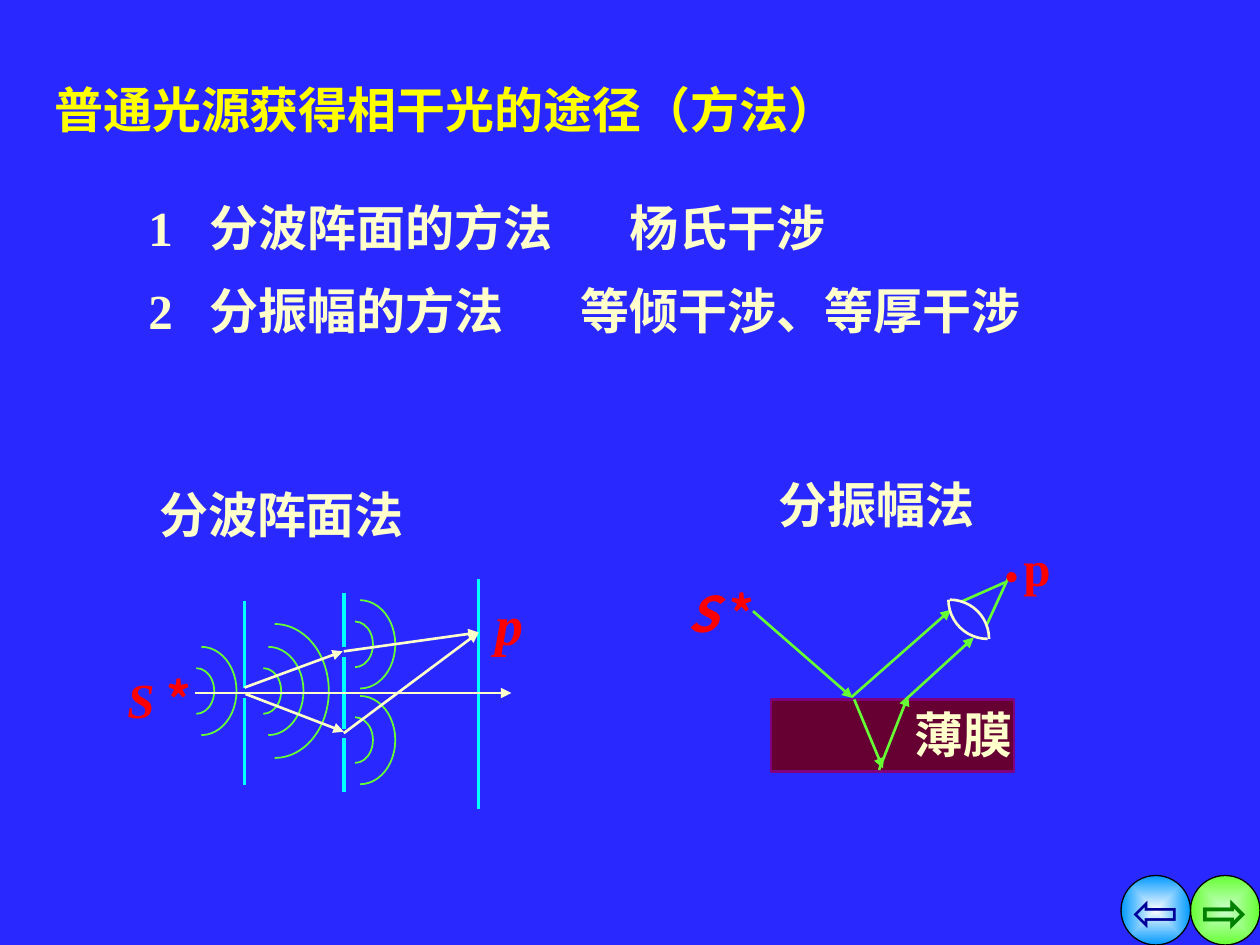
import pptx
import pptx.dml.color
import pptx.enum.shapes
import pptx.enum.text
import pptx.oxml
import pptx.oxml.ns
import pptx.util
from pptx.util import Cm

SHAPES = pptx.enum.shapes.MSO_SHAPE
ALIGN = pptx.enum.text.PP_ALIGN
ANCHOR = pptx.enum.text.MSO_ANCHOR
SERIF, CJK = "Times New Roman", "Noto Sans CJK SC"
CREAM, RED, GREEN, CYAN = "FFFFCC", "FF0000", "66FF33", "00FFFF"
TOP, RIGHT, BOTTOM, LEFT = 162, 0, 54, 108  # arc angles in units of 100000/60000 degrees


def rgb(value):
    return pptx.dml.color.RGBColor.from_string(value)


def child(parent, tag, **attributes):
    element = pptx.oxml.parse_xml(f"<{tag} {pptx.oxml.ns.nsdecls('a')}/>")
    for name, value in attributes.items():
        element.set(name, str(value))
    parent.append(element)
    return element


def format_run(run, size, color, font=SERIF, bold=True, italic=False):
    run.font.size = pptx.util.Pt(size)
    run.font.bold, run.font.italic = bold, italic
    run.font.color.rgb = rgb(color)
    run.font.name = font
    child(run._r.get_or_add_rPr(), "a:ea", typeface=CJK)


def add_label(slide, left, top, width, height, text, size=28, color=CREAM,
              font=SERIF, italic=False, inset=0.03, wrap=True):
    shape = slide.shapes.add_textbox(Cm(left), Cm(top), Cm(width), Cm(height))
    frame = shape.text_frame
    frame.word_wrap = wrap
    if inset is not None:
        frame.margin_left = frame.margin_right = Cm(inset)
        frame.margin_top = frame.margin_bottom = Cm(inset)
    frame.text = text
    for run in frame.paragraphs[0].runs:
        format_run(run, size, color, font, italic=italic)
    return frame.paragraphs[0]


def add_source(slide, left, top, width, height, font, inset):
    """Place the light source: an italic S followed by an upright star."""
    paragraph = add_label(slide, left, top, width, height, "S ", color=RED,
                          font=font, italic=True, inset=inset)
    star = paragraph.add_run()
    star.text = "*"
    format_run(star, 28, RED, CJK)


def add_line(slide, box, start, end, color, width, arrow=False):
    x, y = box
    line = slide.shapes.add_connector(
        pptx.enum.shapes.MSO_CONNECTOR.STRAIGHT,
        Cm(x + start[0]), Cm(y + start[1]), Cm(x + end[0]), Cm(y + end[1]))
    line.line.color.rgb = rgb(color)
    line.line.width = pptx.util.Pt(width)
    if arrow:
        child(line.line._get_or_add_ln(), "a:tailEnd", type="triangle")
    child(line._element.spPr, "a:effectLst")


def add_arc(slide, box, center, radii, angles, color, width):
    left, top = (box[i] + center[i] - radii[i] for i in range(2))
    arc = slide.shapes.add_shape(SHAPES.ARC, Cm(left), Cm(top),
                                 Cm(2 * radii[0]), Cm(2 * radii[1]))
    arc.adjustments[0], arc.adjustments[1] = angles
    arc.fill.background()
    arc.line.color.rgb = rgb(color)
    arc.line.width = pptx.util.Pt(width)
    arc.shadow.inherit = False


def add_title(slide, left, top, width, height, text):
    title = slide.shapes.title
    title.left, title.top, title.width, title.height = map(Cm, (left, top, width, height))
    frame = title.text_frame
    frame.text = text
    frame.vertical_anchor = ANCHOR.TOP
    frame.paragraphs[0].alignment = ALIGN.LEFT
    format_run(frame.paragraphs[0].runs[0], 28, "FFFF00", CJK)


def add_method(slide, left, top, width, text, example_stop):
    """Place one numbered method with its example at a tab stop."""
    paragraph = add_label(slide, left, top, width, 1.45, text, inset=None, wrap=False)
    tabs = child(paragraph._p.get_or_add_pPr(), "a:tabLst")
    for stop in (1.24, example_stop):
        child(tabs, "a:tab", pos=Cm(stop), algn="l")


def add_wavefront_diagram(slide, left, top):
    box = left, top
    barriers = {
        7.11: [(0, 4.62)],
        2.39: [(0.43, 2.18), (2.39, 4.14)],
        4.39: [(0.28, 1.37), (1.57, 3.02), (3.2, 4.29)],
    }
    for x, segments in barriers.items():
        for start, end in segments:
            add_line(slide, box, (x, start), (x, end), CYAN, 2)

    # offset from the smallest wave, horizontal and vertical radius
    waves = [(0, 0.36, 0.46), (0.1, 0.71, 0.89), (0.23, 1.09, 1.35)]
    for x, y, count in [(1.42, 2.25, 2), (2.77, 2.25, 3), (4.62, 1.31, 2), (4.62, 3.24, 2)]:
        for offset, *radii in waves[:count]:
            add_arc(slide, box, (x + offset, y), radii, (TOP, BOTTOM), GREEN, 1)

    add_line(slide, box, (1.4, 2.29), (7.77, 2.29), CREAM, 0.75, arrow=True)
    point = (7.11, 1.07)
    for start, end in [((2.39, 2.18), (4.37, 1.45)), ((2.41, 2.31), (4.39, 3.07)),
                       ((4.39, 1.45), point), ((4.39, 3.1), point)]:
        add_line(slide, box, start, end, CREAM, 1.5, arrow=True)

    add_label(slide, left + 7.42, top + 0.18, 1.27, 1.78, "p", 32, RED, italic=True)
    add_source(slide, left, top + 1.78, 2.54, 1.47, SERIF, 0.03)


def add_film_diagram(slide, left, top):
    box = left, top
    film = slide.shapes.add_shape(SHAPES.RECTANGLE, Cm(left + 1.93), Cm(top + 3.33),
                                  Cm(4.9), Cm(1.45))
    film.shadow.inherit = False
    film.fill.solid()
    film.fill.fore_color.rgb = rgb("660033")
    film.line.color.rgb = rgb("800080")
    film.line.width = pptx.util.Pt(1.5)

    rays = [
        ((3.61, 3.33), (4.19, 4.72), True),
        ((4.11, 4.75), (4.7, 3.25), True),
        ((1.57, 1.55), (3.58, 3.3), True),
        ((3.56, 3.28), (5.56, 1.52), True),
        ((4.65, 3.33), (6.02, 2.08), True),
        ((5.79, 1.35), (6.65, 0.97), False),
        ((6.27, 1.85), (6.71, 0.89), False),
    ]
    for start, end, arrow in rays:
        add_line(slide, box, start, end, GREEN, 1.5, arrow)
    for center, angles in [((6.3, 1.32), (BOTTOM, LEFT)), ((5.54, 2.11), (TOP, RIGHT))]:
        add_arc(slide, box, center, (0.79, 0.79), angles, CREAM, 1.5)

    add_label(slide, left + 6.55, top, 0.79, 1.02, "·", 36, RED)
    add_label(slide, left + 6.99, top + 0.03, 1.42, 1.91, "p", 28, RED)
    add_label(slide, left + 4.8, top + 3.4, 2.49, 1.3, "薄膜")
    add_source(slide, left, top + 0.86, 2.34, 1.27, CJK, None)


def add_button(slide, left, top, size, text, color, inner, outer, bold):
    button = slide.shapes.add_shape(SHAPES.OVAL, Cm(left), Cm(top), Cm(size), Cm(size))
    button.shadow.inherit = False
    button.line.color.rgb = rgb("000000")
    button.line.width = pptx.util.Pt(0.75)
    button.fill.gradient()
    for stop, stop_color in zip(button.fill.gradient_stops, (inner, outer)):
        stop.color.rgb = rgb(stop_color)
    gradient = button._element.spPr.find(pptx.oxml.ns.qn("a:gradFill"))
    gradient.remove(gradient.find(pptx.oxml.ns.qn("a:lin")))
    shading = child(gradient, "a:path", path="shape")
    child(shading, "a:fillToRect", l=50000, t=50000, r=50000, b=50000)
    frame = button.text_frame
    frame.word_wrap = False
    frame.vertical_anchor = ANCHOR.MIDDLE
    frame.text = text
    frame.paragraphs[0].alignment = ALIGN.CENTER
    format_run(frame.paragraphs[0].runs[0], 32, color, "Arial", bold)


def main():
    presentation = pptx.Presentation()
    presentation.slide_width, presentation.slide_height = Cm(25.4), Cm(19.05)
    slide = presentation.slides.add_slide(presentation.slide_layouts[5])
    slide.background.fill.solid()
    slide.background.fill.fore_color.rgb = rgb("2929FF")

    add_button(slide, 24, 17.65, 1.4, "⇨", "008000", "CCFFCC", GREEN, True)
    add_button(slide, 22.6, 17.65, 1.4, "⇦", "000099", "FFFFFF", "0099FF", False)
    add_title(slide, 0.84, 1.47, 16.66, 1.45, "普通光源获得相干光的途径（方法）")
    add_method(slide, 2.74, 3.86, 14.27, "1\t分波阵面的方法\t杨氏干涉", 9.7)
    add_method(slide, 2.74, 5.54, 18.11, "2\t分振幅的方法\t等倾干涉、等厚干涉", 8.71)
    add_label(slide, 3.18, 9.73, 6.93, 1.17, "分波阵面法")
    add_label(slide, 15.67, 9.53, 7.06, 1.12, "分振幅法")
    add_wavefront_diagram(slide, 2.54, 11.68)
    add_film_diagram(slide, 13.61, 10.77)
    presentation.save("out.pptx")


if __name__ == "__main__":
    main()
